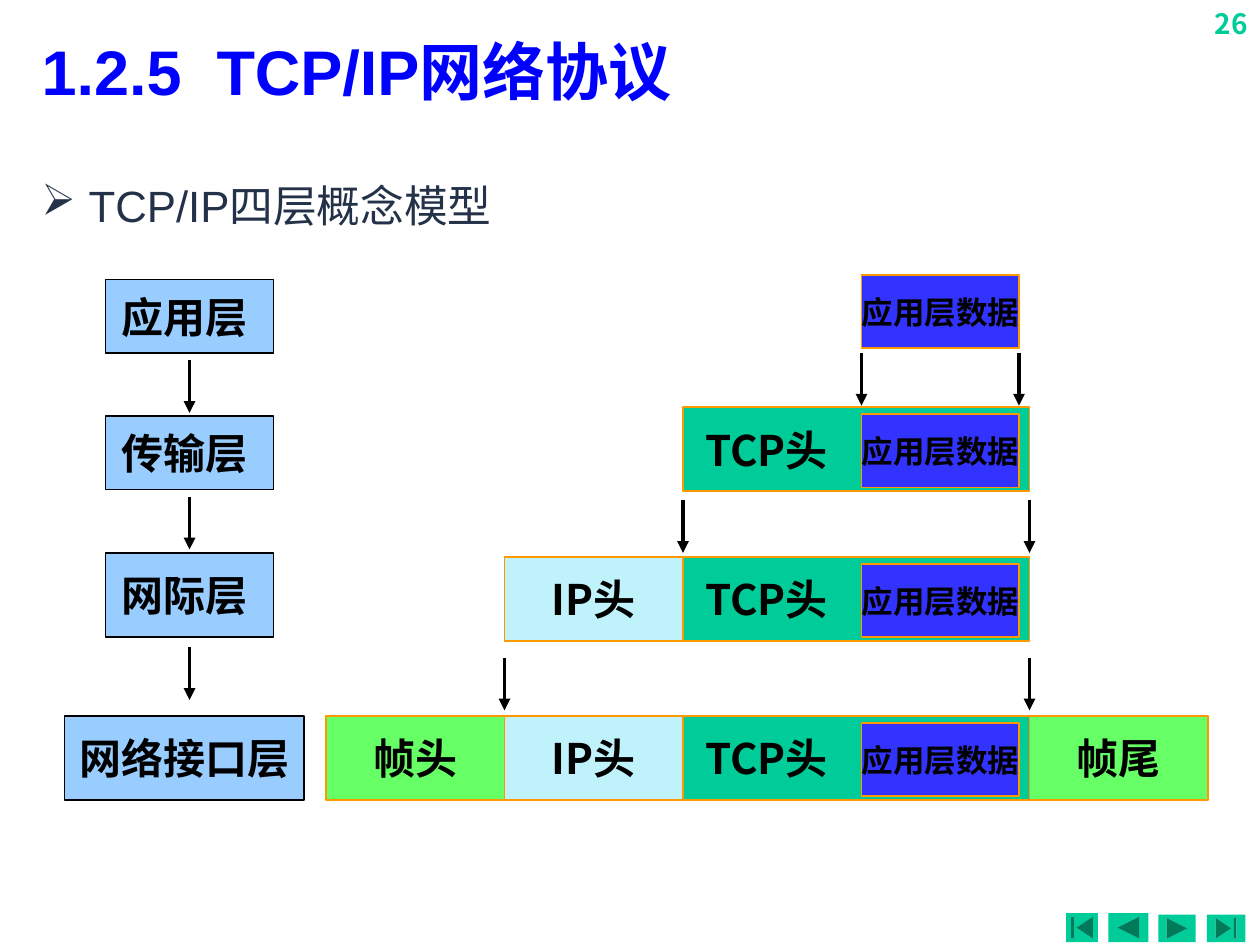
from lxml.etree import SubElement
from pptx import Presentation
from pptx.dml.color import RGBColor
from pptx.enum.shapes import MSO_CONNECTOR, MSO_SHAPE
from pptx.enum.text import MSO_ANCHOR, PP_ALIGN
from pptx.oxml.ns import qn
from pptx.util import Pt

LABEL_FONT = "Noto Sans CJK SC"
INSET = 7.2
SPACE = 5.4  # extra inset that nudges a label sideways
ORANGE, BLACK = "FF9900", "000000"
GREEN, DATA_BLUE, ICE, LIME, SKY = "00CC99", "3333FF", "C0F2FC", "66FF66", "99CCFF"

# Packet columns: frame header, IP header, TCP header and data share one step
STEP, ROW_HEIGHT = 102, 48
FRAME_X = 186.3
IP_X, TCP_X, DATA_X = (FRAME_X + STEP * n for n in (1, 2, 3))
TCP_WIDTH, DATA_WIDTH, DATA_HEIGHT = 198, 90, 42
END_X = TCP_X + TCP_WIDTH
ROW_TOPS = (232.7, 318.2, 409)
LAYER_CENTER = 108.3


def color(value):
    return RGBColor.from_string(value)


def format_text(para, size, font, text_color, bold=True, align=PP_ALIGN.LEFT):
    para.alignment = align
    para.font.size = Pt(size)
    para.font.bold = bold
    para.font.name = font
    para.font.color.rgb = color(text_color)
    east_asian = SubElement(para.font._element, qn("a:ea"))
    east_asian.set("typeface", LABEL_FONT)


def add_text(page, text, left, top, width, height):
    box = page.shapes.add_textbox(Pt(left), Pt(top), Pt(width), Pt(height))
    box.text_frame.word_wrap = True
    para = box.text_frame.paragraphs[0]
    para.text = text
    return para


def add_block(page, text, left, top, width, height, fill, line=ORANGE, size=24,
              align=PP_ALIGN.CENTER, left_inset=INSET, right_inset=INSET):
    block = page.shapes.add_shape(MSO_SHAPE.RECTANGLE, Pt(left), Pt(top),
                                  Pt(width), Pt(height))
    block.shadow.inherit = False
    block.fill.solid()
    block.fill.fore_color.rgb = color(fill)
    block.line.color.rgb = color(line)
    block.line.width = Pt(1)
    frame = block.text_frame
    frame.word_wrap = False
    frame.vertical_anchor = MSO_ANCHOR.MIDDLE
    frame.margin_left, frame.margin_right = Pt(left_inset), Pt(right_inset)
    frame.text = text
    format_text(frame.paragraphs[0], size, LABEL_FONT, BLACK, align=align)


def add_data(page, top):
    add_block(page, "应用层数据", DATA_X, top, DATA_WIDTH, DATA_HEIGHT, DATA_BLUE, size=18)


def add_segment(page, top):
    add_block(page, "TCP头", TCP_X, top, TCP_WIDTH, ROW_HEIGHT, GREEN,
              align=PP_ALIGN.LEFT, left_inset=INSET + SPACE)
    add_data(page, top + 4)


def add_header(page, text, left, top, fill):
    add_block(page, text, left, top, STEP, ROW_HEIGHT, fill)


def add_arrow(page, x, top, length=30):
    arrow = page.shapes.add_connector(MSO_CONNECTOR.STRAIGHT, Pt(x), Pt(top),
                                      Pt(x), Pt(top + length))
    arrow.line.color.rgb = color(BLACK)
    arrow.line.width = Pt(2.25)
    SubElement(arrow.line._get_or_add_ln(), qn("a:tailEnd")).set("type", "triangle")
    SubElement(arrow._element.spPr, qn("a:effectLst"))


def add_button(page, kind, left, top, width, height):
    button = page.shapes.add_shape(kind, Pt(left), Pt(top), Pt(width), Pt(height))
    button.shadow.inherit = False
    button.fill.solid()
    button.fill.fore_color.rgb = color(GREEN)
    button.line.fill.background()


def add_heading(page):
    title = page.shapes.title
    title.left, title.top, title.width, title.height = Pt(16.6), Pt(13.7), Pt(685.4), Pt(53.3)
    title.text_frame.text = "1.2.5  TCP/IP网络协议"
    title.text_frame.vertical_anchor = MSO_ANCHOR.MIDDLE
    format_text(title.text_frame.paragraphs[0], 36, "Arial", "0000FF")


def add_bullet(page):
    para = add_text(page, "TCP/IP四层概念模型", 16.6, 95.8, 689, 409)
    para.line_spacing = 1.1
    para.space_before = Pt(6.2)
    format_text(para, 25, "Arial", "233249", bold=False)
    properties = para._p.get_or_add_pPr()
    properties.set("marL", str(Pt(27)))
    properties.set("indent", str(Pt(-27)))
    bullet = properties.makeelement(qn("a:buChar"), {"char": "➢"})
    properties.find(qn("a:defRPr")).addprevious(bullet)


def main():
    deck = Presentation()
    deck.slide_width, deck.slide_height = Pt(720), Pt(540)
    page = deck.slides.add_slide(deck.slide_layouts[5])

    # Page number and navigation buttons
    number = add_text(page, "26", 680.4, 0, 39.6, 30)
    number.space_before = Pt(10)
    format_text(number, 16, "Noto Sans CJK KR", GREEN, align=PP_ALIGN.RIGHT)
    for kind, left, top, width, height in (
        (MSO_SHAPE.ACTION_BUTTON_BEGINNING, 609.2, 521.8, 18.2, 16.6),
        (MSO_SHAPE.ACTION_BUTTON_BACK_OR_PREVIOUS, 633.4, 521.8, 22.8, 16.6),
        (MSO_SHAPE.ACTION_BUTTON_FORWARD_OR_NEXT, 662, 522.6, 21.2, 15.8),
        (MSO_SHAPE.ACTION_BUTTON_END, 689.6, 522.6, 22, 15.8),
    ):
        add_button(page, kind, left, top, width, height)

    add_heading(page)
    add_bullet(page)

    # Packet at each layer
    add_data(page, 157)
    for top in ROW_TOPS:
        add_segment(page, top)
    for top in ROW_TOPS[1:]:
        add_header(page, "IP头", IP_X, top, ICE)
    add_header(page, "帧头", FRAME_X, ROW_TOPS[2], LIME)
    add_header(page, "帧尾", END_X, ROW_TOPS[2], LIME)

    # The four layers
    for text, top, width, height, right_inset in (
        ("应用层", 159.8, 96, 42, INSET + SPACE),
        ("传输层", 237.8, 96, 42, INSET + SPACE),
        ("网际层", 316, 96, 48, INSET + SPACE),
    ):
        add_block(page, text, LAYER_CENTER - width / 2, top, width, height, SKY,
                  line=BLACK, right_inset=right_inset)
    add_block(page, "网络接口层", 36.8, ROW_TOPS[2], 137, ROW_HEIGHT, SKY, line=BLACK)

    # Arrows down the layers and between the packets
    for x, top in (
        (DATA_X, 201.8), (DATA_X + DATA_WIDTH, 201.8),
        (TCP_X, 286), (END_X, 286),
        (IP_X, 376), (END_X, 376),
        (LAYER_CENTER, 206), (LAYER_CENTER, 284), (LAYER_CENTER, 370),
    ):
        add_arrow(page, x, top)

    deck.save("out.pptx")


if __name__ == "__main__":
    main()
